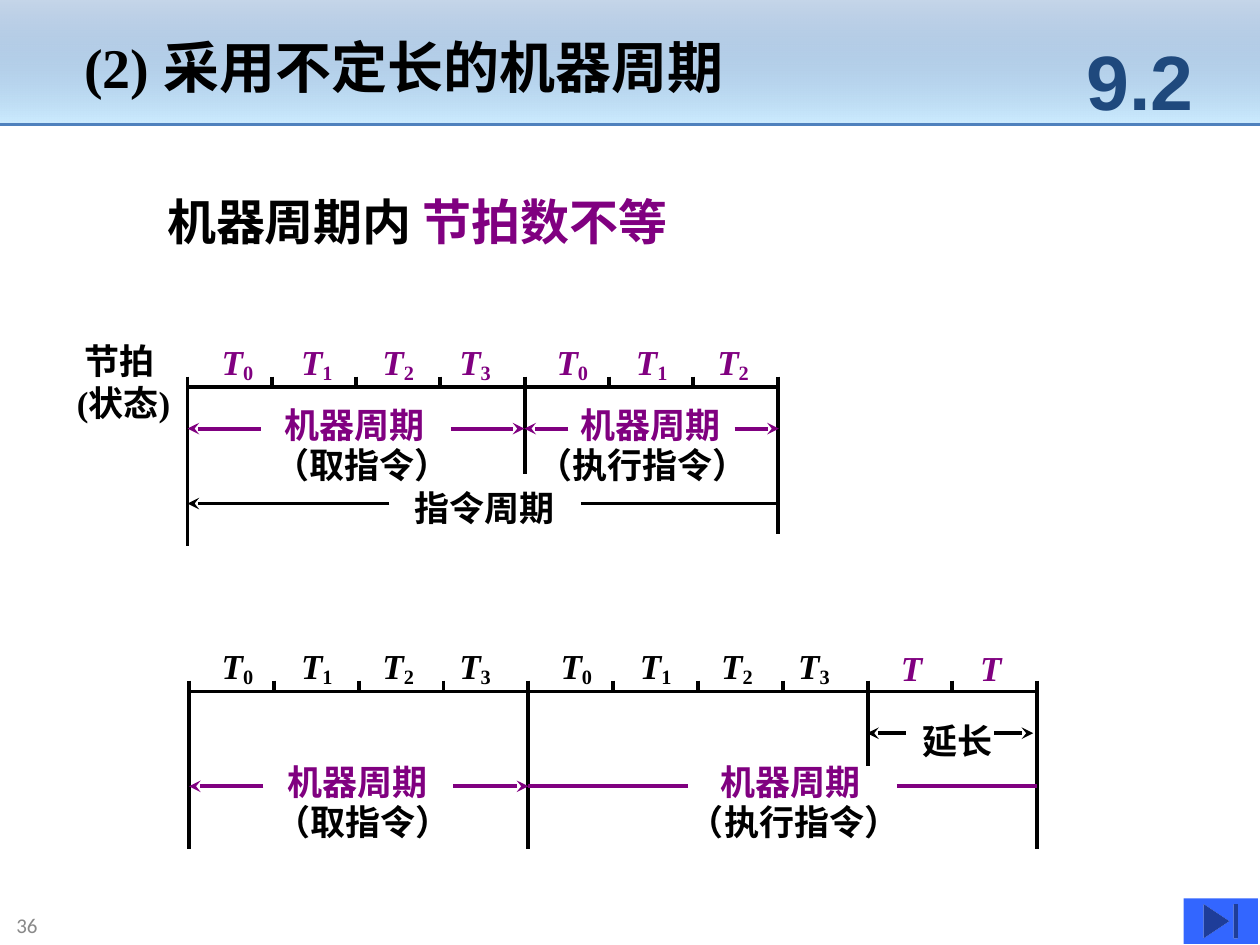
"""Build the slide on machine cycles of variable length."""
import pptx
import pptx.dml.color
import pptx.enum.dml
import pptx.enum.shapes
import pptx.enum.text
import pptx.oxml.ns
import pptx.util
from lxml import etree

Cm = pptx.util.Cm
MIDDLE = pptx.enum.text.MSO_ANCHOR.MIDDLE
TOP = pptx.enum.text.MSO_ANCHOR.TOP
GROW = pptx.enum.text.MSO_AUTO_SIZE.SHAPE_TO_FIT_TEXT
FIXED = pptx.enum.text.MSO_AUTO_SIZE.NONE
CENTER = pptx.enum.text.PP_ALIGN.CENTER

COLOURS = {
    "black": "000000", "purple": "800080", "grey": "898989", "navy": "1F497D",
    "blue": "4F81BD", "sky": "CCECFF", "button": "3366FF",
}
PALETTE = {name: pptx.dml.color.RGBColor.from_string(code) for name, code in COLOURS.items()}
BODY = {"name": "Times New Roman", "size": pptx.util.Pt(20), "bold": True}
LABEL = {"word_wrap": False, "auto_size": GROW, "vertical_anchor": TOP}
BLOCK = {**LABEL, "word_wrap": True}
CENTRED = {"word_wrap": True, "auto_size": FIXED, "vertical_anchor": MIDDLE}

deck = pptx.Presentation()
deck.slide_width, deck.slide_height = Cm(25.4), Cm(19.05)
page = deck.slides.add_slide(deck.slide_layouts[6])


def write(place, paragraphs, frame=LABEL, font=None, align=None):
    box = page.shapes.add_textbox(*map(Cm, place))
    for name, value in frame.items():
        setattr(box.text_frame, name, value)
    for number, spans in enumerate(paragraphs):
        para = box.text_frame.add_paragraph() if number else box.text_frame.paragraphs[0]
        para.alignment = align
        for text, colour, *kind in spans:
            span = para.add_run()
            span.text = text
            for name, value in {**BODY, **(font or {})}.items():
                setattr(span.font, name, value)
            span.font.color.rgb = PALETTE[colour]
            span.font.italic = True if "italic" in kind else None
            if "subscript" in kind:
                span._r.get_or_add_rPr().set("baseline", "-15000")


def draw(x1, y1, x2, y2, colour="black", arrow=False, width=2.25):
    line = page.shapes.add_connector(
        pptx.enum.shapes.MSO_CONNECTOR.STRAIGHT, Cm(x1), Cm(y1), Cm(x2), Cm(y2))
    line.line.color.rgb = PALETTE[colour]
    line.line.width = pptx.util.Pt(width)
    if arrow:
        outline = line.line._get_or_add_ln()
        etree.SubElement(outline, pptx.oxml.ns.qn("a:tailEnd"), type="stealth")
    etree.SubElement(line._element.spPr, pptx.oxml.ns.qn("a:effectLst"))


band = page.shapes.add_shape(
    pptx.enum.shapes.MSO_SHAPE.RECTANGLE, 0, 0, deck.slide_width, Cm(2.51))
band.shadow.inherit = False
band.line.fill.background()
band.fill.gradient()
band.fill.gradient_angle = 270
for stop, colour, position in zip(band.fill.gradient_stops, ("blue", "sky"), (0, 1)):
    stop.color.rgb = PALETTE[colour]
    stop.position = position
tint = band._element.spPr.find(".//" + pptx.oxml.ns.qn("a:srgbClr"))
etree.SubElement(tint, pptx.oxml.ns.qn("a:alpha"), val="32000")
draw(0, 2.51, 25.4, 2.51, "blue", width=1.5)

write((0.08, 18.24, 5.61, 0.81), [[("36", "grey")]], CENTRED,
      {"name": "Calibri", "size": pptx.util.Pt(12), "bold": False})
write((1.45, 0.53, 16.26, 1.63), [[("(2) 采用不定长的机器周期", "black")]], BLOCK,
      {"size": pptx.util.Pt(32)})
write((21.39, 0.43, 3.18, 2.34), [[("9.2", "navy")]], CENTRED,
      {"name": "Arial", "size": pptx.util.Pt(44)}, CENTER)
write((3.12, 3.73, 14, 1.45), [[("机器周期内 ", "black"), ("节拍数不等", "purple")]], BLOCK,
      {"size": pptx.util.Pt(28)})
write((1.3, 6.71, 2.72, 1.96), [[(" 节拍", "black")], [("(状态)", "black")]])

timelines = [
    {"left": 3.78, "top": 7.59, "step": 1.7, "beats": 7, "colour": "purple",
     "long": {0: 11, 4: 9.55, 7: 10.77}, "starts": {4.22: 4, 10.97: 3}},
    {"left": 3.81, "top": 13.72, "step": 1.71, "beats": 10, "colour": "black",
     "long": {0: 17.12, 4: 17.12, 8: 15.44, 10: 17.12}, "starts": {4.22: 4, 11.05: 4}},
]
beat_offsets = (0, 1.6, 3.24, 4.79)
for row in timelines:
    axis = row["top"] + 0.22
    draw(row["left"], axis, row["left"] + row["step"] * row["beats"], axis)
    for beat in range(row["beats"] + 1):
        x = row["left"] + row["step"] * beat
        draw(x, row["top"], x, row["long"].get(beat, axis))
    for start, count in row["starts"].items():
        for beat, offset in enumerate(beat_offsets[:count]):
            write((start + offset, row["top"] - 0.86, 1.14, 1.14),
                  [[("T", row["colour"], "italic"), (str(beat), row["colour"], "subscript")]])
for offset in beat_offsets[:2]:
    write((17.91 + offset, 12.9, 0.94, 1.12), [[("T", "purple", "italic")]])

spans_drawn = [
    (5.26, 3.78, 8.64, "purple", True), (9.09, 10.57, 8.64, "purple", True),
    (11.46, 10.57, 8.64, "purple", True), (14.81, 15.7, 8.64, "purple", True),
    (7.85, 3.78, 10.15, "black", True), (11.71, 15.65, 10.15, "black", False),
    (5.31, 3.81, 15.85, "purple", True), (9.14, 10.65, 15.85, "purple", True),
    (13.87, 10.65, 15.85, "purple", False), (18.08, 20.91, 15.85, "purple", False),
    (18.26, 17.48, 14.78, "black", True), (20.04, 20.83, 14.78, "black", True),
]
for start, end, y, colour, arrow in spans_drawn:
    draw(start, y, end, y, colour, arrow)

cycles = [
    (5.49, 8, "（取指令）", 5.28, 4.04), (11.46, 8, "（执行指令）", 10.59, 4.75),
    (5.54, 15.21, "（取指令）", 5.31, 4.04), (14.27, 15.21, "（执行指令）", 13.64, 4.75),
]
for left, top, phase, phase_left, phase_width in cycles:
    write((left, top, 3.33, 1.12), [[("机器周期", "purple")]])
    write((phase_left, top + 0.81, phase_width, 1.12), [[(phase, "black")]])
write((8.1, 9.68, 3.33, 1.12), [[("指令周期", "black")]])
write((18.34, 14.38, 1.93, 1.12), [[("延长", "black")]], BLOCK)

button = page.shapes.add_shape(
    pptx.enum.shapes.MSO_SHAPE.ACTION_BUTTON_END, Cm(23.86), Cm(18.11), Cm(1.5), Cm(0.92))
button.shadow.inherit = False
button.fill.solid()
button.fill.fore_color.rgb = PALETTE["button"]
button.line.fill.background()

deck.save("out.pptx")
